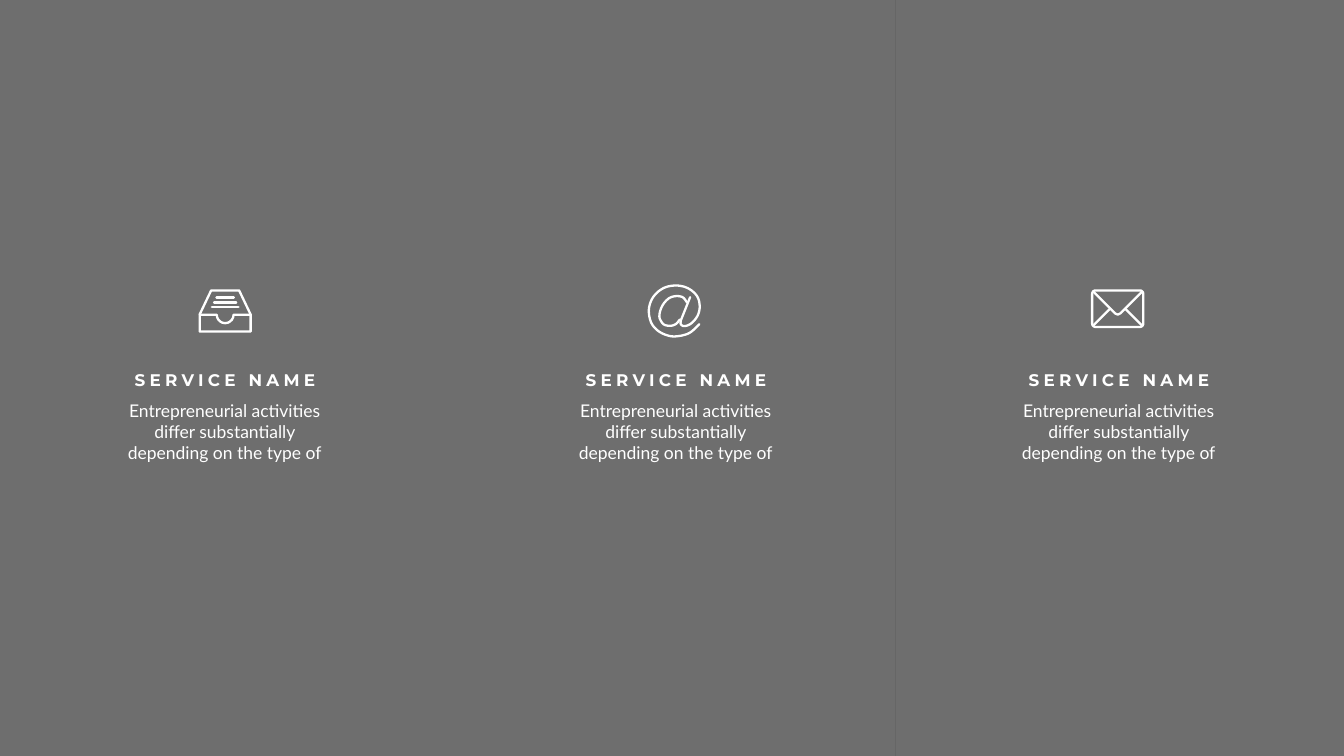
from dataclasses import dataclass
from math import cos, radians, sin

from lxml import etree
from pptx import Presentation
from pptx.dml.color import RGBColor as Rgb
from pptx.enum.shapes import MSO_SHAPE as Kind
from pptx.enum.text import MSO_AUTO_SIZE as Fit, PP_ALIGN as Align
from pptx.oxml.ns import qn
from pptx.util import Pt

Point = tuple[float, float]
WIDE, HIGH = 1920.24, 1080
PANEL = WIDE / 3
STROKE = 3.3
HEX = {"panel": "000000", "ink": "FFFFFF"}
TITLE = "SERVICE NAME"
BODY = "Entrepreneurial activities differ substantially depending on the type of"


@dataclass
class Line:
    pts: list[Point]
    closed: bool = False


@dataclass
class Service:
    text_x: float
    icon_x: float
    icon_y: float
    icon: list[Line]


@dataclass
class Label:
    text: str
    dx: float
    top: float
    wide: float
    high: float
    font: str
    size: float
    bold: bool
    wrap: bool
    gap: int  # letter spacing, hundredths of a point


def arc(x: float, y: float, rad: float, start: int, end: int) -> list[Point]:
    """Points on a circle, in ten steps."""
    turns = [radians(start + (end - start) * i / 10) for i in range(11)]
    return [(x + rad * cos(t), y + rad * sin(t)) for t in turns]


def curve(pts: list[Point]) -> list[Point]:
    """Catmull-Rom curve through the points."""
    ends = [pts[0], *pts, pts[-1]]
    out = []
    for a, b, c, d in zip(ends, ends[1:], ends[2:], ends[3:]):
        for i in range(6):
            t = i / 6
            out.append(tuple(
                (2 * q + (r - p) * t + (2 * p - 5 * q + 4 * r - s) * t ** 2
                 + (3 * q - p - 3 * r + s) * t ** 3) / 2
                for p, q, r, s in zip(a, b, c, d)))
    return out + [pts[-1]]


# Icons as strokes, in points from the icon's corner
TRAY = [
    Line([(1.6, 36), (18, 1.6), (58, 1.6), (74.4, 36), (74.4, 60.4), (1.6, 60.4)], True),
    Line([(1.6, 36.4), *arc(38, 36.4, 12, 180, 0), (74.4, 36.4)]),
    *(Line([(38 - half, y), (38 + half, y)])
      for y, half in ((11.9, 12.4), (18.7, 15.8), (25.6, 19))),
]
AT = [
    Line(curve([
        (73.8, 57.2), (59.4, 69.8), (40.3, 74.5), (26.3, 72.4), (13.7, 65.5),
        (5, 54.4), (1.8, 38.2), (5, 23.8), (13.3, 12.2), (25.6, 4.3),
        (40.3, 1.8), (53.6, 4), (64.4, 10.1), (72, 19.4), (74.5, 31.7),
        (72.4, 42.8), (67, 51.5), (59.8, 57.6), (52.2, 59.8), (47.5, 57.2),
        (47.5, 51.8)]) + [(60.8, 18.5)]),
    Line(curve([
        (56.3, 25.9), (50.4, 18.7), (41.4, 16.9), (31.7, 19.4), (23.8, 26.6),
        (18.7, 36), (16.9, 45.4), (18.4, 51.1), (23.4, 57.6), (32.4, 59.4),
        (40.3, 56.9), (46.1, 50.4)])),
]
MAIL = [
    Line([*arc(6.6, 6.6, 5, 180, 270), *arc(69.7, 6.6, 5, 270, 360),
          *arc(69.7, 48.8, 5, 0, 90), *arc(6.6, 48.8, 5, 90, 180)], True),
    Line([(3.3, 3.3), (34.5, 34.5), (38.15, 36.2), (41.8, 34.5), (73, 3.3)]),
    Line([(3.6, 51.5), (26.5, 28.6)]),
    Line([(72.7, 51.5), (49.8, 28.6)]),
]

SERVICES = [
    Service(162, 283.7, 413.3, TRAY),
    Service(806.4, 925.2, 406.1, AT),
    Service(1439.3, 1558.8, 413.3, MAIL),
]
LABELS = [
    Label(BODY, 0, 568, 318, 98, "Lato", 25, False, True, 0),
    Label(TITLE, 20.9, 524.2, 277, 36, "Montserrat", 24, True, False, 600),
]


def add_panel(slide, left: float) -> None:
    box = slide.shapes.add_shape(Kind.RECTANGLE, Pt(left), 0, Pt(PANEL), Pt(HIGH))
    box.shadow.inherit = False
    box.line.fill.background()
    box.fill.solid()
    box.fill.fore_color.rgb = Rgb.from_string(HEX["panel"])
    tint = box._element.spPr.find(qn("a:solidFill"))[0]
    etree.SubElement(tint, qn("a:alpha"), val="57000")


def add_icon(slide, left: float, top: float, lines: list[Line]) -> None:
    pen = None
    for line in lines:
        first, *rest = [(Pt(left + x), Pt(top + y)) for x, y in line.pts]
        if pen is None:
            pen = slide.shapes.build_freeform(*first)
        else:
            pen.move_to(*first)
        pen.add_line_segments(rest, close=line.closed)
    icon = pen.convert_to_shape()
    icon.shadow.inherit = False
    icon.fill.background()
    icon.line.width = Pt(STROKE)
    icon.line.color.rgb = Rgb.from_string(HEX["ink"])
    # Round caps and joins
    edge = icon._element.spPr.find(qn("a:ln"))
    edge.set("cap", "rnd")
    etree.SubElement(edge, qn("a:round"))


def add_label(slide, left: float, label: Label) -> None:
    box = slide.shapes.add_textbox(
        Pt(left + label.dx), Pt(label.top), Pt(label.wide), Pt(label.high))
    frame = box.text_frame
    frame.word_wrap = label.wrap
    frame.auto_size = Fit.SHAPE_TO_FIT_TEXT
    para = frame.paragraphs[0]
    para.alignment = Align.CENTER
    run = para.add_run()
    run.text = label.text
    font = para.font
    font.name, font.size, font.bold = label.font, Pt(label.size), label.bold
    font.color.rgb = Rgb.from_string(HEX["ink"])
    if label.gap:
        run._r.get_or_add_rPr().set("spc", str(label.gap))


def main() -> None:
    deck = Presentation()
    deck.slide_width, deck.slide_height = Pt(WIDE), Pt(HIGH)
    slide = deck.slides.add_slide(deck.slide_layouts[6])

    # Dark panels
    for i in range(len(SERVICES)):
        add_panel(slide, i * PANEL)

    # Icon and text of each service
    for item in SERVICES:
        add_icon(slide, item.icon_x, item.icon_y, item.icon)
        for label in LABELS:
            add_label(slide, item.text_x, label)

    deck.save("out.pptx")


if __name__ == "__main__":
    main()
